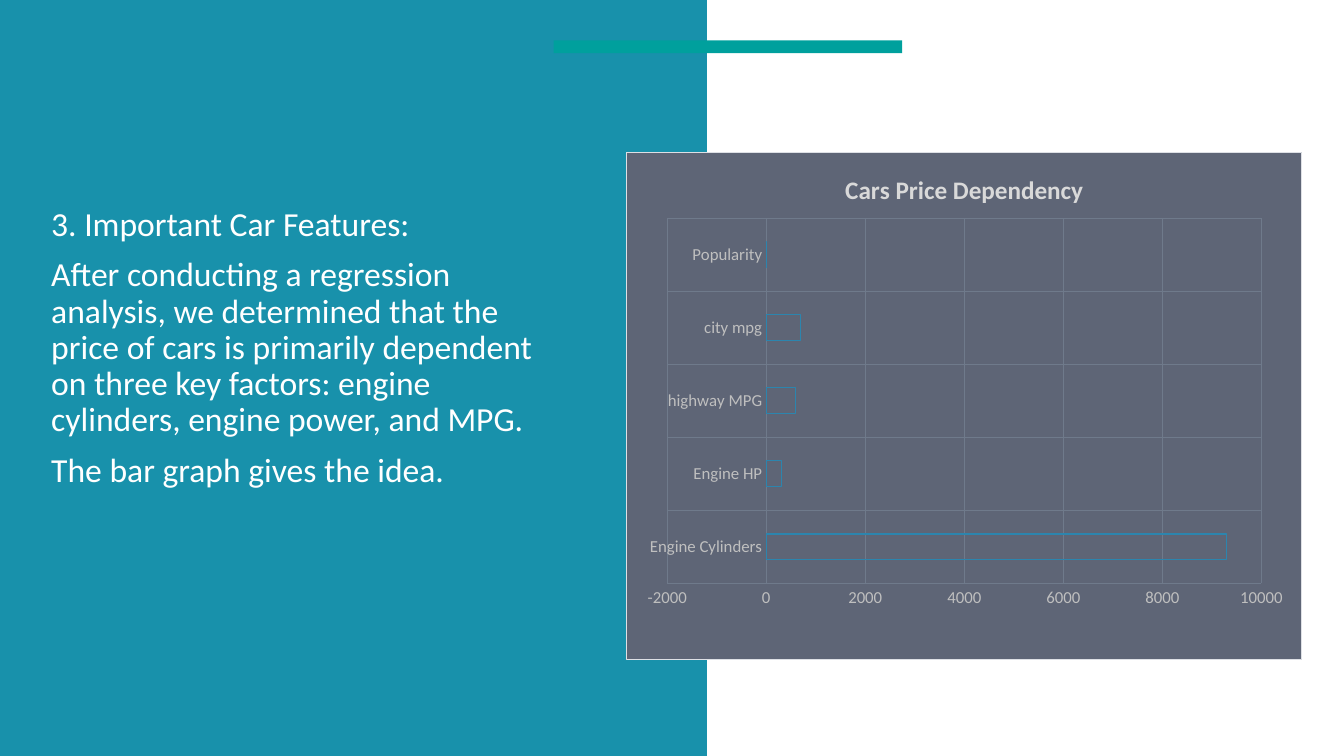
"""Build the car features slide: a text panel beside a price dependency bar chart."""
from lxml.etree import fromstring
from pptx import Presentation
from pptx.chart.data import CategoryChartData
from pptx.dml.color import RGBColor
from pptx.enum.chart import XL_CHART_TYPE as ChartType, XL_TICK_MARK as TickMark
from pptx.enum.shapes import MSO_SHAPE as Shape
from pptx.enum.text import MSO_ANCHOR as Anchor
from pptx.util import Pt

COLORS = {
    "panel": "1891AB", "accent": "00A09D", "text": "FFFFFF", "chart": "5E6576",
    "border": "DEE0E5", "grid": "6F7A8B", "bar": "2C85AE", "label": "BFBFBF",
    "title": "D9D9D9",
}
FONT = "Calibri"
CHART_NS = "http://schemas.openxmlformats.org/drawingml/2006/chart"
DRAWING_NS = "http://schemas.openxmlformats.org/drawingml/2006/main"


def color(name):
    return RGBColor.from_string(COLORS[name])


def style_font(font, size, color_name, bold=False):
    font.name, font.size, font.bold = FONT, Pt(size), bold
    font.color.rgb = color(color_name)


deck = Presentation()
deck.slide_width, deck.slide_height = Pt(960), Pt(540)
slide = deck.slides.add_slide(deck.slide_layouts[6])

for fill_name, left, top, width, height in (
    ("panel", 0, 0, 505, 540),
    ("accent", 395.5, 28.8, 249, 9.2),
):
    block = slide.shapes.add_shape(Shape.RECTANGLE, Pt(left), Pt(top), Pt(width), Pt(height))
    block.shadow.inherit = False
    block.fill.solid()
    block.fill.fore_color.rgb = color(fill_name)
    block.line.fill.background()

findings = slide.shapes.add_textbox(Pt(29.5), Pt(144.7), Pt(381), Pt(253.5)).text_frame
findings.word_wrap = True
findings.vertical_anchor = Anchor.TOP
findings.text = "\n".join((
    "3. Important Car Features:",
    "After conducting a regression analysis, we determined that the price of cars is "
    "primarily dependent on three key factors: engine cylinders, engine power, and MPG.",
    "The bar graph gives the idea.",
))
for paragraph in findings.paragraphs:
    paragraph.line_spacing = 0.9
    paragraph.space_before = Pt(10)
    style_font(paragraph.font, 24, "text")

dependency = CategoryChartData()
dependency.categories = ["Engine Cylinders", "Engine HP", "highway MPG", "city mpg", "Popularity"]
dependency.add_series("Series 1", (9300, 300, 600, 700, 0))
chart = slide.shapes.add_chart(
    ChartType.BAR_CLUSTERED, Pt(447.3), Pt(108.3), Pt(483), Pt(363.3), dependency
).chart
chart.has_legend = False
style_font(chart.font, 10, "label")
chart.has_title = True
chart.chart_title.include_in_layout = False
heading = chart.chart_title.text_frame
heading.text = "Cars Price Dependency"
style_font(heading.paragraphs[0].font, 18, "title", bold=True)

for axis in (chart.category_axis, chart.value_axis):
    axis.major_tick_mark = axis.minor_tick_mark = TickMark.NONE
    axis.format.line.fill.background()
    axis.has_major_gridlines = True
    axis.major_gridlines.format.line.width = Pt(0.75)
    axis.major_gridlines.format.line.color.rgb = color("grid")
    style_font(axis.tick_labels.font, 12, "label")
chart.value_axis.minimum_scale = -2000
chart.value_axis.maximum_scale = 10000
chart.value_axis.major_unit = 2000
chart.value_axis.tick_labels.number_format = "General"
chart.value_axis.tick_labels.number_format_is_linked = False

plot = chart.plots[0]
plot.gap_width, plot.overlap = 182, -50
plot.vary_by_categories = False
bars = plot.series[0]
bars.format.fill.background()
bars.format.line.color.rgb = color("bar")
bars.format.line.width = Pt(0.75)

chart_root = chart.element.find(f"{{{CHART_NS}}}chart")
chart_root.addnext(fromstring(
    f'<c:spPr xmlns:c="{CHART_NS}" xmlns:a="{DRAWING_NS}">'
    f'<a:solidFill><a:srgbClr val="{COLORS["chart"]}"/></a:solidFill>'
    f'<a:ln w="9525"><a:solidFill><a:srgbClr val="{COLORS["border"]}"/></a:solidFill></a:ln>'
    '</c:spPr>'
))
plot_area = chart_root.find(f"{{{CHART_NS}}}plotArea")
for automatic_layout in plot_area.findall(f"{{{CHART_NS}}}layout"):
    plot_area.remove(automatic_layout)
placement = "".join(
    f'<c:{tag} val="{value}"/>'
    for tag, value in (
        ("layoutTarget", "inner"), ("xMode", "edge"), ("yMode", "edge"),
        ("x", 0.06), ("y", 0.13), ("w", 0.88), ("h", 0.72),
    )
)
plot_area.insert(0, fromstring(
    f'<c:layout xmlns:c="{CHART_NS}"><c:manualLayout>{placement}</c:manualLayout></c:layout>'
))

deck.save("out.pptx")
